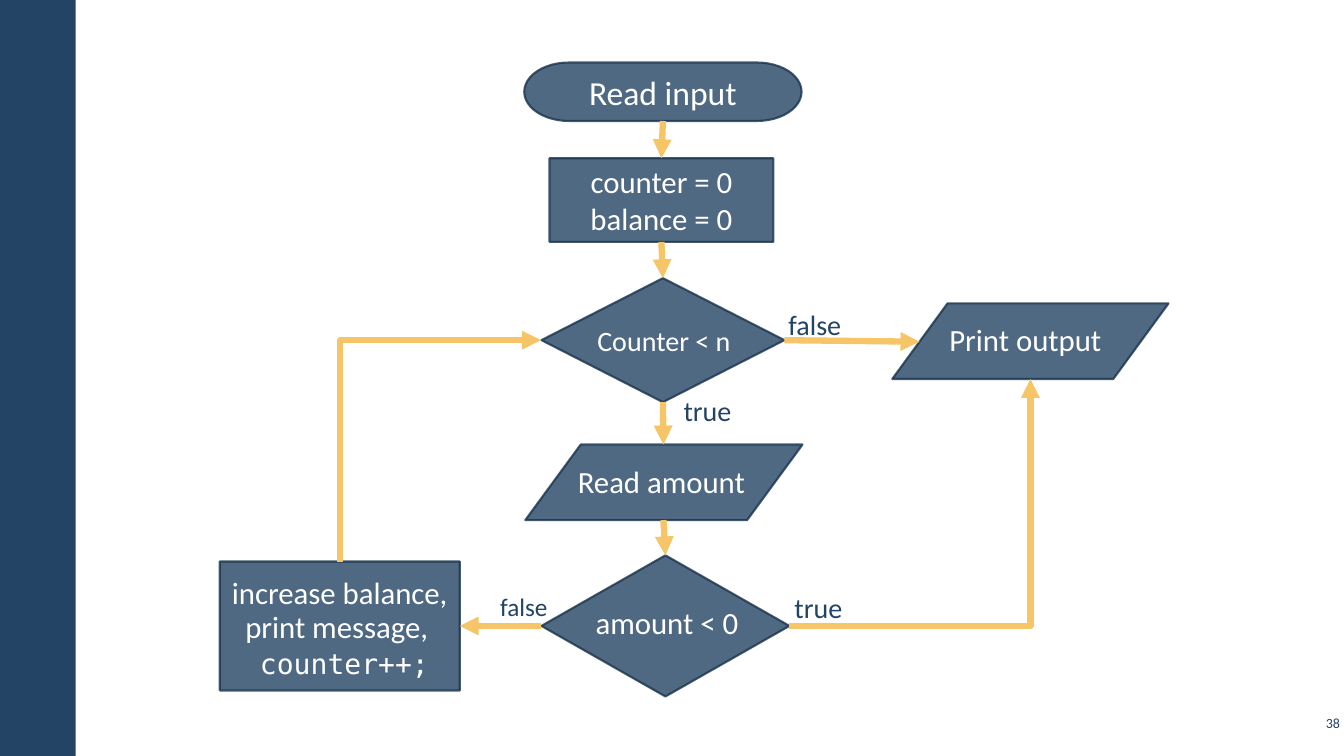
from lxml import etree
from pptx import Presentation
from pptx import util as u
from pptx.dml.color import RGBColor
from pptx.enum import shapes, text
from pptx.oxml import ns

HUES = {"navy": "234465", "edge": "1A334C", "gold": "F5C567", "white": "FFFFFF"}
KIND = shapes.MSO_SHAPE
LINE = shapes.MSO_CONNECTOR
ALIGN = text.PP_ALIGN
TOP, LEFT, BOTTOM, RIGHT = range(4)


def hue(name):
    return RGBColor.from_string(HUES[name])


class Chart:
    """Flowchart style and the slide it is drawn on."""
    font = "Calibri"
    mono = "DejaVu Sans Mono"

    def __init__(self, slide):
        self.slide = slide
        self.items = slide.shapes

    def fade(self, props):
        for tone in props.iter(ns.qn("a:srgbClr")):
            etree.SubElement(tone, ns.qn("a:alpha"), val="80000")

    def letter(self, frame, lines, size, color="white", align=ALIGN.CENTER, font=None, gap=None):
        for i, line in enumerate(lines.split("\n")):
            para = frame.paragraphs[0] if i == 0 else frame.add_paragraph()
            para.text = line
            para.alignment = align
            if gap:
                para.line_spacing = gap
            para.font.size = u.Pt(size)
            para.font.name = font or self.font
            para.font.color.rgb = hue(color)

    def bar(self, *at):
        bar = self.items.add_shape(KIND.RECTANGLE, *map(u.Inches, at))
        bar.shadow.inherit = False
        bar.fill.solid()
        bar.fill.fore_color.rgb = hue("navy")
        bar.line.fill.background()

    def node(self, kind, at, words="", size=22):
        node = self.items.add_shape(kind, *map(u.Inches, at))
        node.shadow.inherit = False
        node.fill.solid()
        node.fill.fore_color.rgb = hue("navy")
        node.line.color.rgb = hue("edge")
        node.line.width = u.Pt(1.5)
        self.fade(node._element.spPr)
        if words:
            node.text_frame.vertical_anchor = text.MSO_ANCHOR.MIDDLE
            self.letter(node.text_frame, words, size)
        return node

    def box(self, at, words, size, wrap=True, grow=True, pad=None, **style):
        box = self.items.add_textbox(*map(u.Inches, at))
        frame = box.text_frame
        frame.word_wrap = wrap
        if grow:
            frame.auto_size = text.MSO_AUTO_SIZE.SHAPE_TO_FIT_TEXT
        if pad:
            frame.margin_left = frame.margin_right = u.Inches(pad[0])
            frame.margin_top = frame.margin_bottom = u.Inches(pad[1])
        self.letter(frame, words, size, **style)
        return box

    def label(self, at, words, size=20, wrap=True):
        self.box(at, words, size, wrap, pad=(0.16, 0.12), color="navy", align=ALIGN.LEFT, gap=1.1)

    def group(self, *parts):
        self.items.add_group_shape(parts)
        return parts[0]

    def arrow(self, start, end, kind=LINE.STRAIGHT):
        arrow = self.items.add_connector(kind, *map(u.Inches, start + end))
        arrow.line.color.rgb = hue("gold")
        arrow.line.width = u.Pt(4.5)
        line = arrow.line._get_or_add_ln()
        etree.SubElement(line, ns.qn("a:tailEnd"), type="triangle")
        etree.SubElement(arrow._element.spPr, ns.qn("a:effectLst"))
        return arrow

    def link(self, start, end, source=None, target=None):
        """Straight arrow; source and target are (node, side) pairs."""
        arrow = self.arrow(start, end)
        if source:
            arrow.begin_connect(*source)
        if target:
            arrow.end_connect(*target)

    def bend(self, start, end, turn=0):
        """Arrow with one corner, given in its unturned frame."""
        props = self.arrow(start, end, LINE.ELBOW)._element.spPr
        props.find(ns.qn("a:prstGeom")).set("prst", "bentConnector2")
        if turn:
            props.find(ns.qn("a:xfrm")).set("rot", str(turn * 60000))


def main():
    deck = Presentation()
    deck.slide_width, deck.slide_height = u.Inches(13.33), u.Inches(7.5)
    flow = Chart(deck.slides.add_slide(deck.slide_layouts[6]))

    # Side bar and page number
    flow.bar(0, 0, 0.75, 7.5)
    page = flow.box((12.86, 7, 0.47, 0.34), "38", 10, grow=False, pad=(0.04, 0.04),
                    color="navy", align=ALIGN.RIGHT)
    page.text_frame.vertical_anchor = text.MSO_ANCHOR.MIDDLE

    # Main column
    start = flow.node(KIND.FLOWCHART_TERMINATOR, (5.2, 0.62, 2.75, 0.58), "Read input", 24)
    setup = flow.node(KIND.FLOWCHART_PROCESS, (5.45, 1.57, 2.22, 0.83),
                      "counter = 0\nbalance = 0")
    loop = flow.group(
        flow.node(KIND.FLOWCHART_DECISION, (5.37, 2.76, 2.41, 1.23)),
        flow.box((5.38, 3.16, 2.41, 0.44), "Counter < n", 20))
    flow.group(
        flow.node(KIND.FLOWCHART_DATA, (5.21, 4.41, 2.75, 0.75)),
        flow.box((5.3, 4.54, 2.52, 0.47), "Read amount", 22))
    test = flow.group(
        flow.node(KIND.FLOWCHART_DECISION, (5.37, 5.51, 2.46, 1.4)),
        flow.box((5.63, 5.94, 1.97, 0.47), "amount < 0", 22))

    # Side branches
    step = flow.group(
        flow.node(KIND.FLOWCHART_PROCESS, (2.18, 5.57, 2.38, 1.28)),
        flow.box((2.48, 6.36, 2.18, 0.29), "counter++;", 20, font=flow.mono, align=ALIGN.LEFT),
        flow.box((2.32, 5.98, 2.04, 0.47), "print message,", 22, wrap=False),
        flow.box((2.19, 5.64, 2.36, 0.47), "increase balance,", 22, wrap=False))
    flow.group(
        flow.node(KIND.FLOWCHART_DATA, (8.85, 3.01, 2.74, 0.75)),
        flow.box((9.31, 3.13, 1.72, 0.47), "Print output", 22, wrap=False))

    # Arrows
    flow.link((6.57, 1.21), (6.57, 1.57), (start, BOTTOM), (setup, TOP))
    flow.link((6.57, 2.4), (6.57, 2.76), (setup, BOTTOM), (loop, TOP))
    flow.link((6.57, 3.99), (6.58, 4.41), source=(loop, BOTTOM))
    flow.link((7.78, 3.38), (9.12, 3.39), source=(loop, RIGHT))
    flow.link((6.58, 5.16), (6.6, 5.51), target=(test, TOP))
    flow.link((5.37, 6.21), (4.57, 6.21), (test, LEFT), (step, RIGHT))
    flow.bend((5.47, 5.47), (3.27, 3.48), turn=90)
    flow.bend((7.83, 6.21), (10.22, 3.76))

    # Branch labels
    flow.label((6.62, 3.75, 0.98, 0.61), "true")
    flow.label((7.66, 2.9, 0.85, 0.59), "false", wrap=False)
    flow.label((7.72, 5.7, 0.83, 0.61), "true")
    flow.label((4.8, 5.72, 0.79, 0.56), "false", 18, wrap=False)

    deck.save("out.pptx")


if __name__ == "__main__":
    main()
